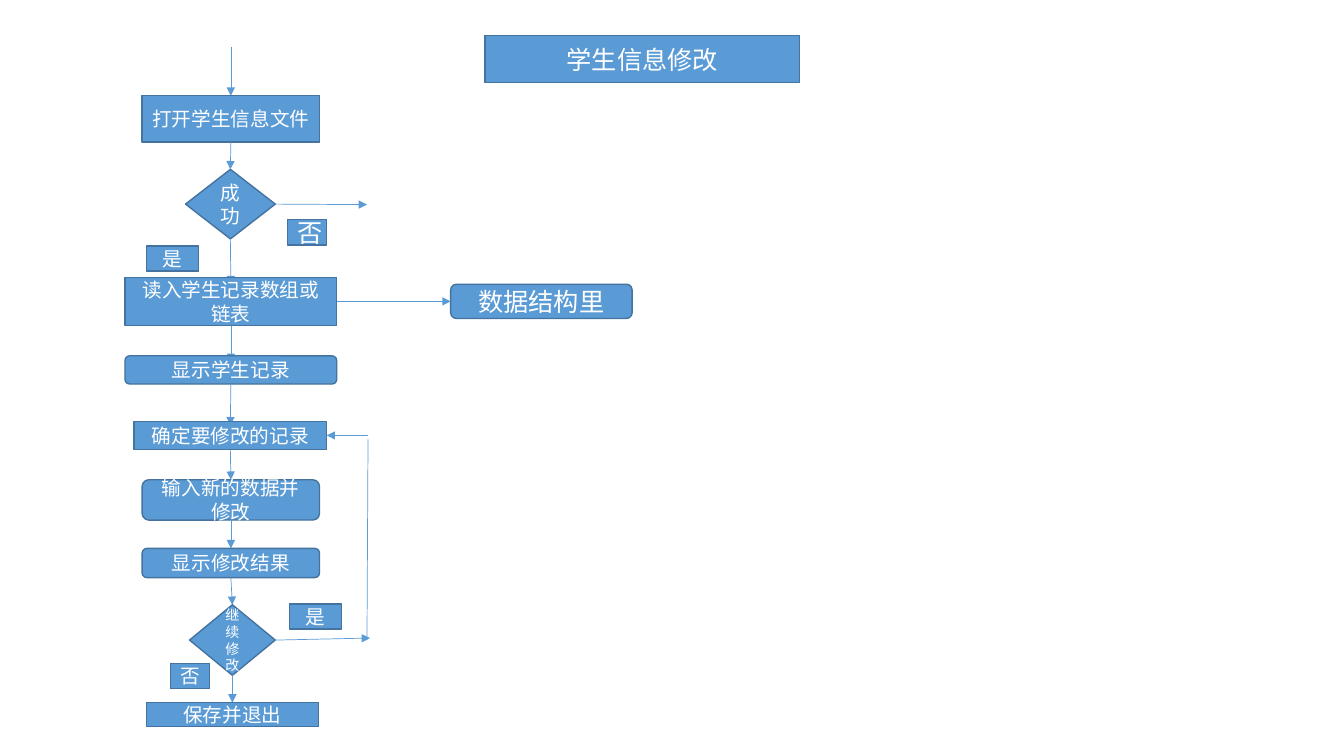
from lxml import etree
from pptx import Presentation
from pptx.dml.color import RGBColor
from pptx.enum.shapes import MSO_CONNECTOR, MSO_SHAPE
from pptx.enum.text import MSO_ANCHOR, MSO_AUTO_SIZE, PP_ALIGN
from pptx.oxml.ns import qn
from pptx.util import Inches, Pt

RECT = MSO_SHAPE.RECTANGLE
ROUND = MSO_SHAPE.ROUNDED_RECTANGLE
DIAMOND = MSO_SHAPE.DIAMOND
STRAIGHT = MSO_CONNECTOR.STRAIGHT
CENTER = PP_ALIGN.CENTER
MIDDLE = MSO_ANCHOR.MIDDLE
NO_FIT = MSO_AUTO_SIZE.NONE
TOP, LEFT, BOTTOM, RIGHT = range(4)

BLUE = RGBColor(0x5B, 0x9B, 0xD5)
EDGE = RGBColor(0x43, 0x73, 0x9E)
WHITE = RGBColor(0xFF, 0xFF, 0xFF)
FONT = "Noto Sans CJK SC"

# shape, text, (left, top, width, height), size, depth of the incoming arrow
STEPS = [
    (RECT, "打开学生信息文件", (1.41, 0.95, 1.76, 0.46), 14, 0),
    (DIAMOND, "成功", (1.84, 1.68, 0.89, 0.69), 14, 0),
    (RECT, "读入学生记录数组或链表", (1.24, 2.75, 2.1, 0.48), 14, 0.07),
    (ROUND, "显示学生记录", (1.24, 3.53, 2.1, 0.28), 14, 0.06),
    (RECT, "确定要修改的记录", (1.33, 4.18, 1.91, 0.28), 14, 0.04),
    (ROUND, "输入新的数据并修改", (1.41, 4.76, 1.76, 0.4), 14, 0),
    (ROUND, "显示修改结果", (1.41, 5.44, 1.76, 0.29), 14, 0),
    (DIAMOND, "继续修改", (1.88, 6, 0.85, 0.7), 10, 0),
    (RECT, "保存并退出", (1.45, 6.97, 1.71, 0.24), 14, 0),
]
BRANCH_LABELS = [
    ("是", (1.45, 2.44, 0.52, 0.25), 14),
    ("否", (2.85, 2.18, 0.39, 0.25), 18),
    ("是", (2.87, 5.99, 0.52, 0.25), 14),
    ("否", (1.69, 6.58, 0.39, 0.25), 14),
]


class Flowchart:
    def __init__(self, slide):
        self.slide = slide

    def style(self, sp, text, size):
        sp.fill.solid()
        sp.fill.fore_color.rgb = BLUE
        sp.line.color.rgb = EDGE
        sp.line.width = Pt(1)
        tf = sp.text_frame
        tf.text = text
        tf.word_wrap = True
        tf.auto_size = NO_FIT
        tf.vertical_anchor = MIDDLE
        p = tf.paragraphs[0]
        p.alignment = CENTER
        p.font.size = Pt(size)
        p.font.color.rgb = WHITE
        p.font.name = FONT
        props = p._p.pPr.find(qn("a:defRPr"))
        etree.SubElement(props, qn("a:ea"), typeface=FONT)

    def title(self, text, box, size):
        sp = self.slide.shapes.title
        sp.left, sp.top, sp.width, sp.height = map(Inches, box)
        self.style(sp, text, size)

    def box(self, kind, text, box, size):
        sp = self.slide.shapes.add_shape(kind, *map(Inches, box))
        sp.shadow.inherit = False
        self.style(sp, text, size)
        return sp

    def line(self, start, end, arrow=True):
        cx = self.slide.shapes.add_connector(STRAIGHT, *map(Inches, start + end))
        cx.line.color.rgb = BLUE
        cx.line.width = Pt(0.5)
        if arrow:
            etree.SubElement(cx.line._get_or_add_ln(), qn("a:tailEnd"), type="triangle")
        etree.SubElement(cx._element.spPr, qn("a:effectLst"))
        return cx

    def steps(self, steps, entry):
        """Stack the steps, each with an arrow from the one before it."""
        shapes = []
        start = entry
        for kind, text, box, size, depth in steps:
            left, top, width, height = box
            middle = left + width / 2
            cx = self.line(start, (middle, top + depth))
            if shapes:
                cx.begin_connect(shapes[-1], BOTTOM)
            sp = self.box(kind, text, box, size)
            if not depth:
                cx.end_connect(sp, TOP)
            shapes.append(sp)
            start = (middle, top + height)
        return shapes


def main():
    prs = Presentation()
    prs.slide_width, prs.slide_height = Inches(13.33), Inches(7.5)
    chart = Flowchart(prs.slides.add_slide(prs.slide_layouts[5]))

    chart.title("学生信息修改", (4.81, 0.35, 3.12, 0.47), 18)
    shapes = chart.steps(STEPS, (2.29, 0.47))
    opened, read, choose, again = (shapes[i] for i in (1, 2, 4, 7))
    for text, box, size in BRANCH_LABELS:
        chart.box(RECT, text, box, size)

    chart.line((2.73, 2.03), (3.64, 2.03)).begin_connect(opened, RIGHT)

    data = chart.box(ROUND, "数据结构里", (4.47, 2.82, 1.8, 0.34), 18)
    cx = chart.line((3.34, 2.99), (4.47, 2.99))
    cx.begin_connect(read, RIGHT)
    cx.end_connect(data, LEFT)

    chart.line((2.73, 6.35), (3.67, 6.33)).begin_connect(again, RIGHT)
    chart.line((3.65, 4.36), (3.64, 6.35), arrow=False)
    chart.line((3.65, 4.32), (3.24, 4.32)).end_connect(choose, RIGHT)

    prs.save("out.pptx")


if __name__ == "__main__":
    main()
